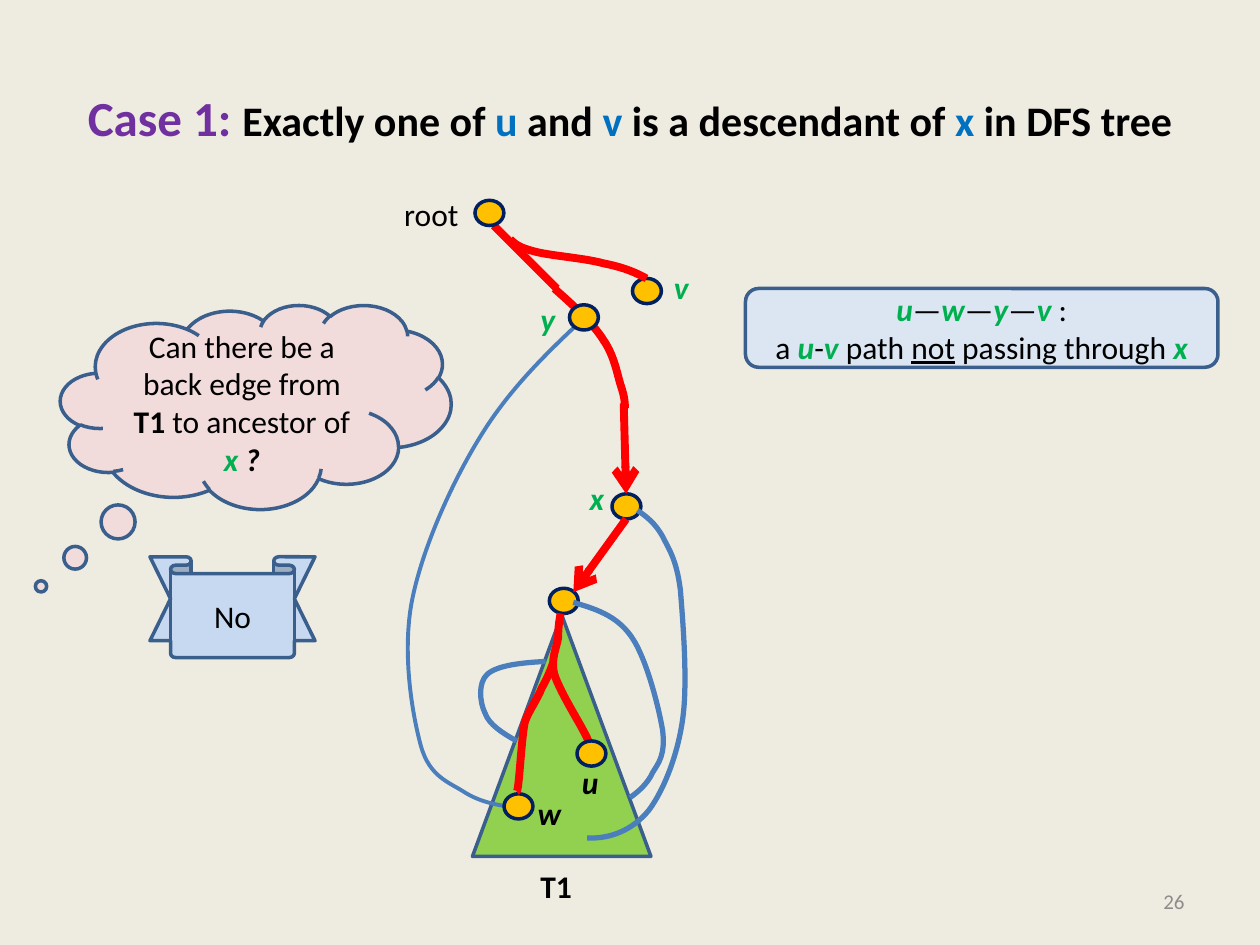
from pptx import Presentation
from pptx.dml.color import RGBColor
from pptx.enum.shapes import MSO_CONNECTOR, MSO_SHAPE
from pptx.enum.text import MSO_ANCHOR, MSO_AUTO_SIZE, PP_ALIGN
from pptx.oxml.ns import qn
from pptx.oxml.xmlchemy import OxmlElement
from pptx.util import Pt

COLORS = {
    "background": "EEECE1", "black": "000000", "purple": "7030A0", "blue": "0070C0",
    "green": "00B050", "gray": "8C8C8C", "outline": "3A5F8C", "navy": "002060",
    "amber": "FFC000", "subtree": "92D050", "tree_edge": "FF0000",
    "back_edge": "4B7EBC", "ribbon": "C6D9F1", "path_box": "DCE6F2", "cloud": "F2DCDB",
}
VERTEX = {"color": "green", "bold": True, "italic": True}
DARK_VERTEX = {**VERTEX, "color": "black"}
TITLE = {"size": 24, "bold": True}
TITLE_VERTEX = {**TITLE, "color": "blue"}
NODE_WIDTH, NODE_HEIGHT = 16.5, 14.4

CURVES = {
    "y_to_x": [(316.8, 164.9), (328.3, 175), (339.1, 185), (344.9, 194.4), (351.4, 203.8),
               (352.8, 214.6), (355, 221), (357.1, 227.5), (357.1, 230.4), (357.1, 233.3)],
    "subtree_to_u": [(320.4, 350.6), (319.7, 354.2), (319, 358.6), (319, 364.3),
                     (318.2, 370.1), (314.6, 376.6), (316.8, 385.2), (319.7, 394.6),
                     (330.5, 411.8), (333.4, 417.6), (337, 424.1), (336.2, 424.1),
                     (336.2, 423.4)],
    "root_to_v": [(291.6, 136.8), (294.5, 139.7), (297.4, 141.8), (306.7, 144),
                  (315.4, 146.2), (334.8, 147.6), (344.9, 150.5), (355.7, 152.6),
                  (362.9, 155.5), (369.4, 159.1)],
    "subtree_to_w": [(316.1, 378.7), (314.6, 383), (312.5, 388.1), (309.6, 393.1),
                     (307.4, 398.9), (302.4, 406.1), (300.2, 411.8), (298.1, 417.6),
                     (296.6, 453.6), (295.2, 452.2)],
    "left_back": [(295.2, 423.4), (287.3, 419), (279.4, 414), (277.2, 407.5),
                  (274.3, 401.8), (272.9, 390.2), (278.6, 385.2), (284.4, 380.2),
                  (298.1, 378.7), (311.8, 378)],
    "right_back": [(360, 455.8), (365, 452.2), (370.1, 447.8), (373, 441.4),
                   (376.6, 435.6), (380.2, 431.3), (378.7, 417.6), (376.6, 404.6),
                   (369.4, 375.8), (360.7, 363.6), (352.1, 351.4), (339.8, 347.8),
                   (327.6, 344.2)],
    "x_back": [(364.3, 291.6), (369.4, 295.2), (374.4, 298.8), (378.7, 306.7),
               (382.3, 313.9), (386.6, 319.7), (388.8, 337), (390.2, 354.2),
               (393.1, 389.5), (390.2, 410.4), (387.4, 431.3), (379.4, 451.4),
               (370.8, 463), (361.4, 474.5), (348.5, 479.5), (335.5, 478.8)],
    "w_to_y": [(294.5, 461.5), (284.4, 460.1), (275, 458.6), (265.7, 452.9),
               (257, 447.1), (245.5, 444.2), (240.5, 426.2), (235.4, 407.5),
               (229.7, 373), (235.4, 343.4), (241.2, 313.9), (257.8, 276.5),
               (274.3, 249.8), (290.9, 222.5), (312.5, 201.6), (334.1, 181.4)],
}


def rgb(name):
    return RGBColor.from_string(COLORS[name])


def add_run(paragraph, text, size=18, color="black", bold=False, italic=False, underline=False):
    run = paragraph.add_run()
    run.text = text
    font = run.font
    font.name, font.size = "Calibri", Pt(size)
    font.bold, font.italic, font.underline = bold, italic, underline
    font.color.rgb = rgb(color)


def write(shape, lines, align=PP_ALIGN.CENTER):
    frame = shape.text_frame
    frame.vertical_anchor = MSO_ANCHOR.MIDDLE
    for index, runs in enumerate(lines):
        paragraph = frame.add_paragraph() if index else frame.paragraphs[0]
        paragraph.alignment = align
        for text, style in runs:
            add_run(paragraph, text, **style)


def add_label(slide, text, left, top, width, **style):
    box = slide.shapes.add_textbox(Pt(left), Pt(top), Pt(width), Pt(29))
    box.text_frame.word_wrap = False
    box.text_frame.auto_size = MSO_AUTO_SIZE.SHAPE_TO_FIT_TEXT
    add_run(box.text_frame.paragraphs[0], text, **style)


def add_preset(slide, kind, left, top, width, height, fill, line="outline", adjustments=()):
    shape = slide.shapes.add_shape(kind, Pt(left), Pt(top), Pt(width), Pt(height))
    shape.shadow.inherit = False
    shape.fill.solid()
    shape.fill.fore_color.rgb = rgb(fill)
    shape.line.color.rgb = rgb(line)
    shape.line.width = Pt(2)
    for index, value in enumerate(adjustments):
        shape.adjustments[index] = value
    return shape


def add_node(slide, center_x, center_y):
    add_preset(slide, MSO_SHAPE.OVAL, center_x - NODE_WIDTH / 2, center_y - NODE_HEIGHT / 2,
               NODE_WIDTH, NODE_HEIGHT, "amber", "navy")


def add_curve(slide, name, color="tree_edge", width=4.5):
    start, *points = [(Pt(x), Pt(y)) for x, y in CURVES[name]]
    builder = slide.shapes.build_freeform(*start)
    builder.add_line_segments(points, close=False)
    shape = builder.convert_to_shape()
    shape.shadow.inherit = False
    shape.fill.background()
    shape.line.color.rgb = rgb(color)
    shape.line.width = Pt(width)
    segments = shape._element.xpath(".//a:lnTo")
    for index in range(0, len(segments), 3):
        bezier = OxmlElement("a:cubicBezTo")
        segments[index].addprevious(bezier)
        for segment in segments[index:index + 3]:
            bezier.append(segment[0])
            segment.getparent().remove(segment)


def add_edge(slide, start, end, arrow=False):
    connector = slide.shapes.add_connector(
        MSO_CONNECTOR.STRAIGHT, *[Pt(value) for value in (*start, *end)])
    connector.line.color.rgb = rgb("tree_edge")
    connector.line.width = Pt(4.5)
    properties = connector._element.spPr
    if arrow:
        tail = OxmlElement("a:tailEnd")
        tail.set("type", "arrow")
        properties.find(qn("a:ln")).append(tail)
    properties.append(OxmlElement("a:effectLst"))


def add_title(slide):
    title = slide.shapes.title
    title.left, title.top, title.width, title.height = Pt(36), Pt(21.6), Pt(648), Pt(90)
    write(title, [[
        ("Case 1: ", {"size": 28, "color": "purple", "bold": True}),
        ("Exactly one of ", TITLE), ("u", TITLE_VERTEX), (" and ", TITLE),
        ("v", TITLE_VERTEX), (" is a descendant of ", TITLE), ("x ", TITLE_VERTEX),
        ("in DFS tree", TITLE)]])


def add_tree(slide):
    add_preset(slide, MSO_SHAPE.ISOSCELES_TRIANGLE, 270, 351.4, 102, 138, "subtree")
    add_node(slide, 358, 289.4)
    add_label(slide, "x", 329.8, 270, 23, **VERTEX)
    add_edge(slide, (356.4, 230.4), (357.8, 282.2), arrow=True)
    add_curve(slide, "y_to_x")
    add_edge(slide, (282.2, 128.9), (318.2, 164.9))
    add_node(slide, 322.2, 343.4)
    add_curve(slide, "subtree_to_u")
    add_node(slide, 338, 430.6)
    add_label(slide, "u", 325.4, 432.7, 24.5, **DARK_VERTEX)
    add_node(slide, 369.7, 166.3)
    add_curve(slide, "root_to_v")
    add_label(slide, "v", 378, 149.8, 23, **VERTEX)
    add_node(slide, 279.7, 121.7)
    add_label(slide, "root", 223.9, 108, 46)
    for name in ("left_back", "right_back", "x_back"):
        add_curve(slide, name, "back_edge", 3)
    add_curve(slide, "w_to_y", "back_edge", 2.25)
    add_node(slide, 296.3, 460.8)
    add_curve(slide, "subtree_to_w")
    add_label(slide, "w", 300.2, 450, 28, **DARK_VERTEX)
    add_node(slide, 333.7, 181.4)
    add_label(slide, "y", 301.7, 167.8, 23, **VERTEX)
    add_label(slide, "T1", 301.7, 491.8, 32.4, bold=True)
    add_edge(slide, (357.8, 296.6), (327.6, 338.4), arrow=True)


def add_notes_around_tree(slide):
    ribbon = add_preset(slide, MSO_SHAPE.DOWN_RIBBON, 85.7, 318.2, 94.3, 57.6, "ribbon",
                        adjustments=(0.167, 0.75))
    write(ribbon, [[("No", {})]])
    path_box = add_preset(slide, MSO_SHAPE.ROUNDED_RECTANGLE, 426, 164.9, 270, 45, "path_box")
    write(path_box, [
        [("u", VERTEX), ("—", {}), ("w", VERTEX), ("—", {}), ("y", VERTEX), ("—", {}),
         ("v", VERTEX), (" :", {})],
        [("a ", {}), ("u", VERTEX), ("-", {}), ("v", VERTEX), (" path ", {}),
         ("not", {"underline": True}), (" passing through ", {}), ("x", VERTEX)]])
    cloud = add_preset(slide, MSO_SHAPE.CLOUD_CALLOUT, 34.6, 174.2, 223.2, 116.6, "cloud",
                       adjustments=(-0.55, 0.88))
    write(cloud, [[("Can there be a back edge from ", {}), ("T1", {"bold": True}),
                   (" to ancestor of ", {}), ("x", VERTEX), (" ?", DARK_VERTEX)]])


def add_slide_number(slide):
    box = slide.shapes.add_textbox(Pt(516), Pt(500.5), Pt(168), Pt(28.8))
    box.text_frame.word_wrap = True
    write(box, [[("26", {"size": 12, "color": "gray"})]], PP_ALIGN.RIGHT)


def main():
    presentation = Presentation()
    presentation.slide_width, presentation.slide_height = Pt(720), Pt(540)
    slide = presentation.slides.add_slide(presentation.slide_layouts[5])
    slide.background.fill.solid()
    slide.background.fill.fore_color.rgb = rgb("background")
    add_title(slide)
    add_slide_number(slide)
    add_tree(slide)
    add_notes_around_tree(slide)
    presentation.save("out.pptx")


if __name__ == "__main__":
    main()
